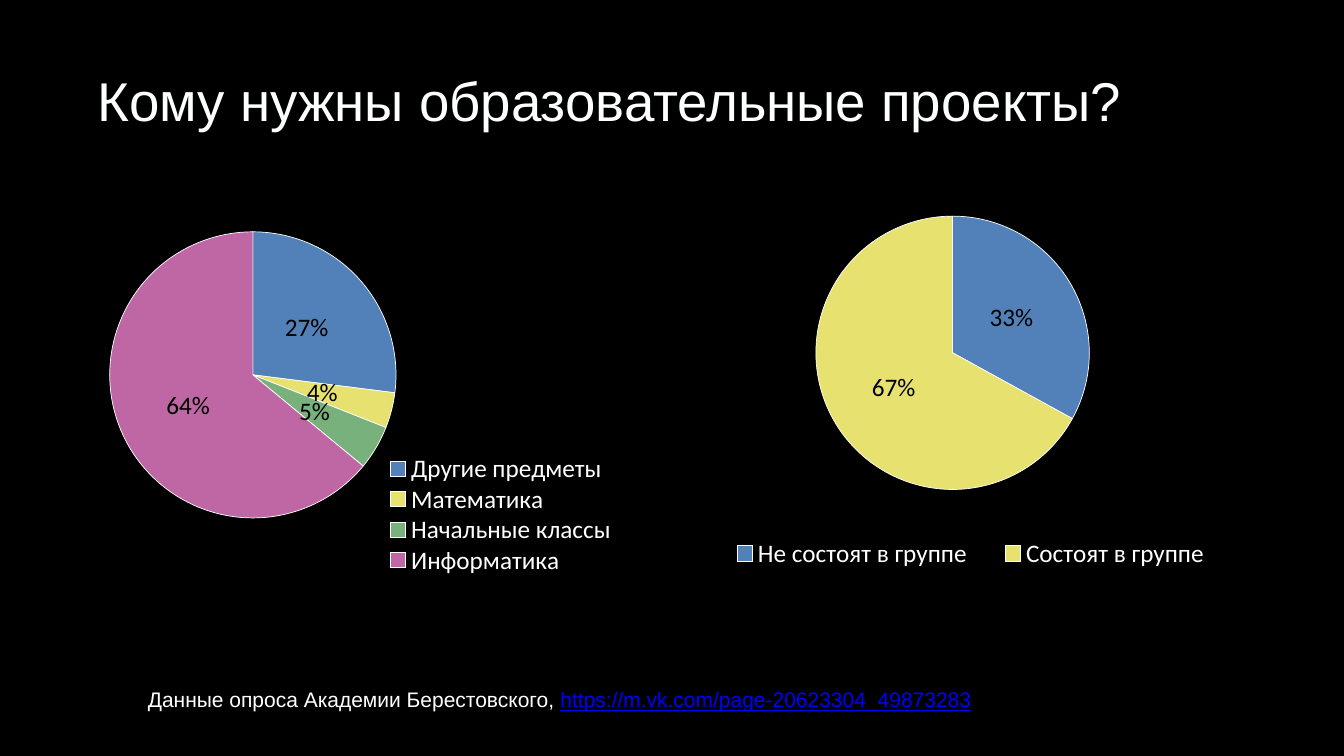
"""Build a slide with two pie charts about the audience of educational projects."""
from dataclasses import dataclass
from typing import NamedTuple

from lxml import etree
from pptx import Presentation
from pptx.chart.data import CategoryChartData
from pptx.dml.color import RGBColor
from pptx.enum.chart import XL_CHART_TYPE, XL_LABEL_POSITION, XL_LEGEND_POSITION
from pptx.oxml.ns import qn
from pptx.util import Inches, Pt

PIE = XL_CHART_TYPE.PIE
CENTER = XL_LABEL_POSITION.CENTER
RIGHT, BOTTOM = XL_LEGEND_POSITION.RIGHT, XL_LEGEND_POSITION.BOTTOM

COLUMNS, ROWS = 160, 90
WIDTH, HEIGHT = Inches(13.33), Inches(7.5)
BLACK, WHITE, OFF_WHITE, LINK_BLUE = "000000", "FFFFFF", "FEFFFF", "0000FF"
SLICE_COLORS = ("5181B8", "E7E270", "78B17C", "BF67A5")


class Area(NamedTuple):
    left: float
    top: float
    width: float
    height: float


@dataclass
class Pie:
    area: Area
    plot: Area
    legend: Area
    legend_side: XL_LEGEND_POSITION
    shares: dict[str, int]


@dataclass
class Span:
    text: str
    color: str = WHITE
    underline: bool = False


PIES = (
    Pie(Area(10.9, 25.9, 68.6, 42.6), Area(0.03, 0.04, 0.5, 0.8),
        Area(0.5, 0.66, 0.42, 0.34), RIGHT,
        {"Другие предметы": 27, "Математика": 4, "Начальные классы": 5, "Информатика": 64}),
    Pie(Area(79.9, 25.3, 71.3, 43.4), Area(0.24, 0.01, 0.46, 0.75),
        Area(0.06, 0.89, 0.88, 0.1), BOTTOM,
        {"Не состоят в группе": 33, "Состоят в группе": 67}),
)


def rgb(color: str) -> RGBColor:
    return RGBColor.from_string(color)


def place(area: Area) -> tuple[int, int, int, int]:
    column, row = WIDTH / COLUMNS, HEIGHT / ROWS
    return (round(area.left * column), round(area.top * row),
            round(area.width * column), round(area.height * row))


def style(font, size: float, color: str, name: str = "Calibri", underline: bool = False) -> None:
    font.size, font.name = Pt(size), name
    font.color.rgb = rgb(color)
    if underline:
        font.underline = True


def add_text(page, area: Area, spans: list[Span], size: float) -> None:
    frame = page.shapes.add_textbox(*place(area)).text_frame
    frame.word_wrap = True
    frame.margin_left = frame.margin_right = Inches(0.05)
    frame.margin_top = frame.margin_bottom = Inches(0.05)
    para = frame.paragraphs[0]
    para.line_spacing = 0.9
    for span in spans:
        run = para.add_run()
        run.text = span.text
        style(run.font, size, span.color, "Arial", span.underline)


def layout(share: Area, inner: bool = False):
    root = etree.Element(qn("c:layout"))
    manual = etree.SubElement(root, qn("c:manualLayout"))
    settings = [("layoutTarget", "inner")] if inner else []
    settings += [("xMode", "edge"), ("yMode", "edge")]
    settings += zip("xywh", map(str, share))
    for tag, value in settings:
        etree.SubElement(manual, qn(f"c:{tag}"), val=value)
    return root


def add_pie(page, pie: Pie) -> None:
    data = CategoryChartData()
    data.categories = list(pie.shares)
    data.add_series("Series 1", list(pie.shares.values()))
    chart = page.shapes.add_chart(PIE, *place(pie.area), data).chart
    chart.has_title = False
    style(chart.font, 10, BLACK, "Roboto")

    plot = chart.plots[0]
    plot.vary_by_categories = True
    for index, color in enumerate(SLICE_COLORS[:len(pie.shares)]):
        piece = plot.series[0].points[index].format
        piece.fill.solid()
        piece.fill.fore_color.rgb = rgb(color)
        piece.line.color.rgb = rgb(OFF_WHITE)
        piece.line.width = Pt(0.5)

    plot.has_data_labels = True
    labels = plot.data_labels
    labels.show_percentage, labels.show_value = True, False
    labels.number_format, labels.number_format_is_linked = "#,##0%", False
    labels.position = CENTER
    style(labels.font, 18, BLACK)

    chart.has_legend = True
    legend = chart.legend
    legend.position = pie.legend_side
    legend.include_in_layout = True
    style(legend.font, 18, WHITE)

    body = chart.element.find(qn("c:chart"))
    plot_area = body.find(qn("c:plotArea"))
    legend_part = body.find(qn("c:legend"))
    for part in (plot_area, legend_part):
        for old in part.findall(qn("c:layout")):
            part.remove(old)
    plot_area.insert(0, layout(pie.plot, inner=True))
    legend_part.find(qn("c:legendPos")).addnext(layout(pie.legend))


def main() -> None:
    deck = Presentation()
    deck.slide_width, deck.slide_height = WIDTH, HEIGHT
    page = deck.slides.add_slide(deck.slide_layouts[6])
    page.background.fill.solid()
    page.background.fill.fore_color.rgb = rgb(BLACK)

    add_text(page, Area(11, 8.2, 135.8, 18.8),
             [Span("Кому нужны образовательные проекты?", OFF_WHITE)], 39)
    add_text(page, Area(17, 81.5, 125.9, 6.4),
             [Span("Данные опроса Академии Берестовского, "),
              Span("https://m.vk.com/page-20623304_49873283", LINK_BLUE, True)], 15)
    for pie in PIES:
        add_pie(page, pie)
    deck.save("out.pptx")


if __name__ == "__main__":
    main()
